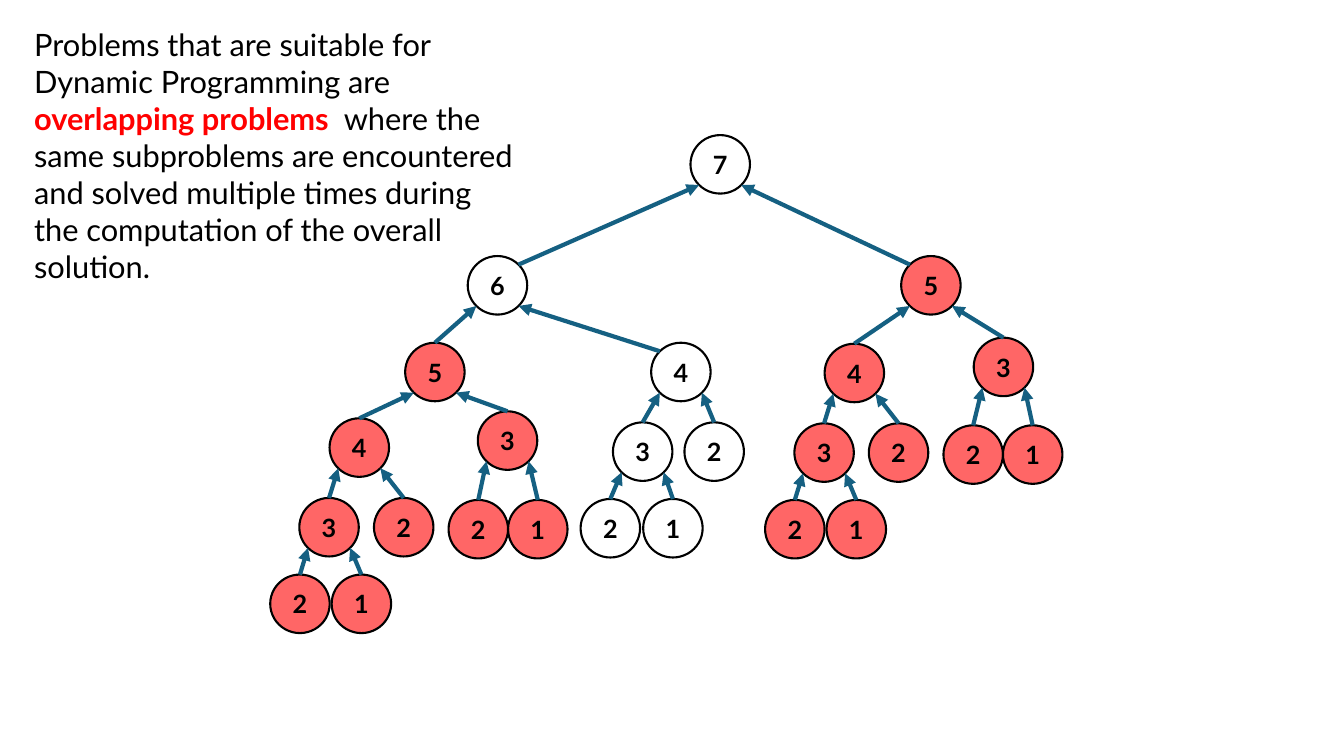
from math import sqrt

from pptx import Presentation
from pptx.dml.color import RGBColor
from pptx.enum.shapes import MSO_CONNECTOR, MSO_SHAPE
from pptx.enum.text import MSO_ANCHOR, MSO_AUTO_SIZE, PP_ALIGN
from pptx.oxml.ns import qn
from pptx.util import Pt
from lxml.etree import SubElement

COLORS = {"text": "000000", "plain": "FFFFFF", "repeated": "FF0000", "arrow": "156082"}
FONT = "Lato"
NODE_WIDTH, NODE_HEIGHT = 42.5, 41.8
WIDE_GAP = 100  # Arrows spanning more than this leave from the child's shoulder

# key: (parent key, label, left, top, fill colour)
NODES = {
    "7": (None, "7", 493.2, 96.5, "plain"),
    "6": ("7", "6", 334.1, 182.9, "plain"),
    "right 5": ("7", "5", 643.7, 182.9, "repeated"),
    "left 5": ("6", "5", 289.4, 244.8, "repeated"),
    "middle 4": ("6", "4", 465.1, 244.8, "plain"),
    "right 4": ("right 5", "4", 589, 245.5, "repeated"),
    "right 3": ("right 5", "3", 695.5, 241.2, "repeated"),
    "left 4": ("left 5", "4", 235.4, 298.8, "repeated"),
    "left 3": ("left 5", "3", 341.3, 293.8, "repeated"),
    "middle 4-3": ("middle 4", "3", 437.8, 301.7, "plain"),
    "middle 4-2": ("middle 4", "2", 488.9, 301.7, "plain"),
    "right 4-3": ("right 4", "3", 567.4, 302.4, "repeated"),
    "right 4-2": ("right 4", "2", 620.6, 302.4, "repeated"),
    "right 3-2": ("right 3", "2", 673.9, 303.8, "repeated"),
    "right 3-1": ("right 3", "1", 716.4, 303.8, "repeated"),
    "left 4-3": ("left 4", "3", 213.8, 355.7, "repeated"),
    "left 4-2": ("left 4", "2", 267.1, 355.7, "repeated"),
    "left 3-2": ("left 3", "2", 320.4, 357.1, "repeated"),
    "left 3-1": ("left 3", "1", 362.9, 357.1, "repeated"),
    "middle 4-3-2": ("middle 4-3", "2", 414.7, 356.4, "plain"),
    "middle 4-3-1": ("middle 4-3", "1", 459.4, 356.4, "plain"),
    "right 4-3-2": ("right 4-3", "2", 546.5, 357.1, "repeated"),
    "right 4-3-1": ("right 4-3", "1", 590.4, 357.1, "repeated"),
    "left 4-3-2": ("left 4-3", "2", 193, 410.4, "repeated"),
    "left 4-3-1": ("left 4-3", "1", 236.9, 410.4, "repeated"),
}


def add_run(paragraph, text, size, color, bold):
    run = paragraph.add_run()
    run.text = text
    run.font.name = FONT
    run.font.size = Pt(size)
    run.font.bold = bold
    run.font.color.rgb = RGBColor.from_string(COLORS[color])


def rim_point(left, top, across, down):
    """Point on a node's outline; across and down run from -1 to 1."""
    return (Pt(left + NODE_WIDTH * (1 + across) / 2),
            Pt(top + NODE_HEIGHT * (1 + down) / 2))


presentation = Presentation()
presentation.slide_width = Pt(960)
presentation.slide_height = Pt(540)
slide = presentation.slides.add_slide(presentation.slide_layouts[6])

# Nodes of the recursion tree
for parent, label, left, top, fill in NODES.values():
    shape = slide.shapes.add_shape(
        MSO_SHAPE.OVAL, Pt(left), Pt(top), Pt(NODE_WIDTH), Pt(NODE_HEIGHT))
    shape.shadow.inherit = False
    shape.fill.solid()
    shape.fill.fore_color.rgb = RGBColor.from_string(COLORS[fill])
    if fill == "repeated":
        color = shape.fill._xPr.find(qn("a:solidFill"))[0]
        SubElement(color, qn("a:alpha")).set("val", "60000")
    shape.line.color.rgb = RGBColor.from_string(COLORS["text"])
    shape.line.width = Pt(1.5)
    shape.text_frame.vertical_anchor = MSO_ANCHOR.MIDDLE
    paragraph = shape.text_frame.paragraphs[0]
    paragraph.alignment = PP_ALIGN.CENTER
    add_run(paragraph, label, 18, "text", True)

# Arrows from each child to its parent
diagonal = sqrt(0.5)
for parent, label, left, top, fill in NODES.values():
    if parent is None:
        continue
    parent_left, parent_top = NODES[parent][2:4]
    side = diagonal if left > parent_left else -diagonal
    if abs(left - parent_left) > WIDE_GAP:
        start = rim_point(left, top, -side, -diagonal)
    else:
        start = rim_point(left, top, 0, -1)
    end = rim_point(parent_left, parent_top, side, diagonal)
    arrow = slide.shapes.add_connector(MSO_CONNECTOR.STRAIGHT, *start, *end)
    arrow.line.color.rgb = RGBColor.from_string(COLORS["arrow"])
    arrow.line.width = Pt(3)
    SubElement(arrow.line._get_or_add_ln(), qn("a:tailEnd")).set("type", "triangle")
    SubElement(arrow._element.spPr, qn("a:effectLst"))

# Explanation
explanation = slide.shapes.add_textbox(Pt(17.3), Pt(15.1), Pt(360.7), Pt(167))
explanation.text_frame.word_wrap = True
explanation.text_frame.auto_size = MSO_AUTO_SIZE.SHAPE_TO_FIT_TEXT
paragraph = explanation.text_frame.paragraphs[0]
for text, color, bold in [
    ("Problems that are suitable for Dynamic Programming are ", "text", False),
    ("overlapping problems  ", "repeated", True),
    ("where the same subproblems are encountered and solved multiple times "
     "during the computation of the overall solution.", "text", False),
]:
    add_run(paragraph, text, 22, color, bold)

presentation.save("out.pptx")
